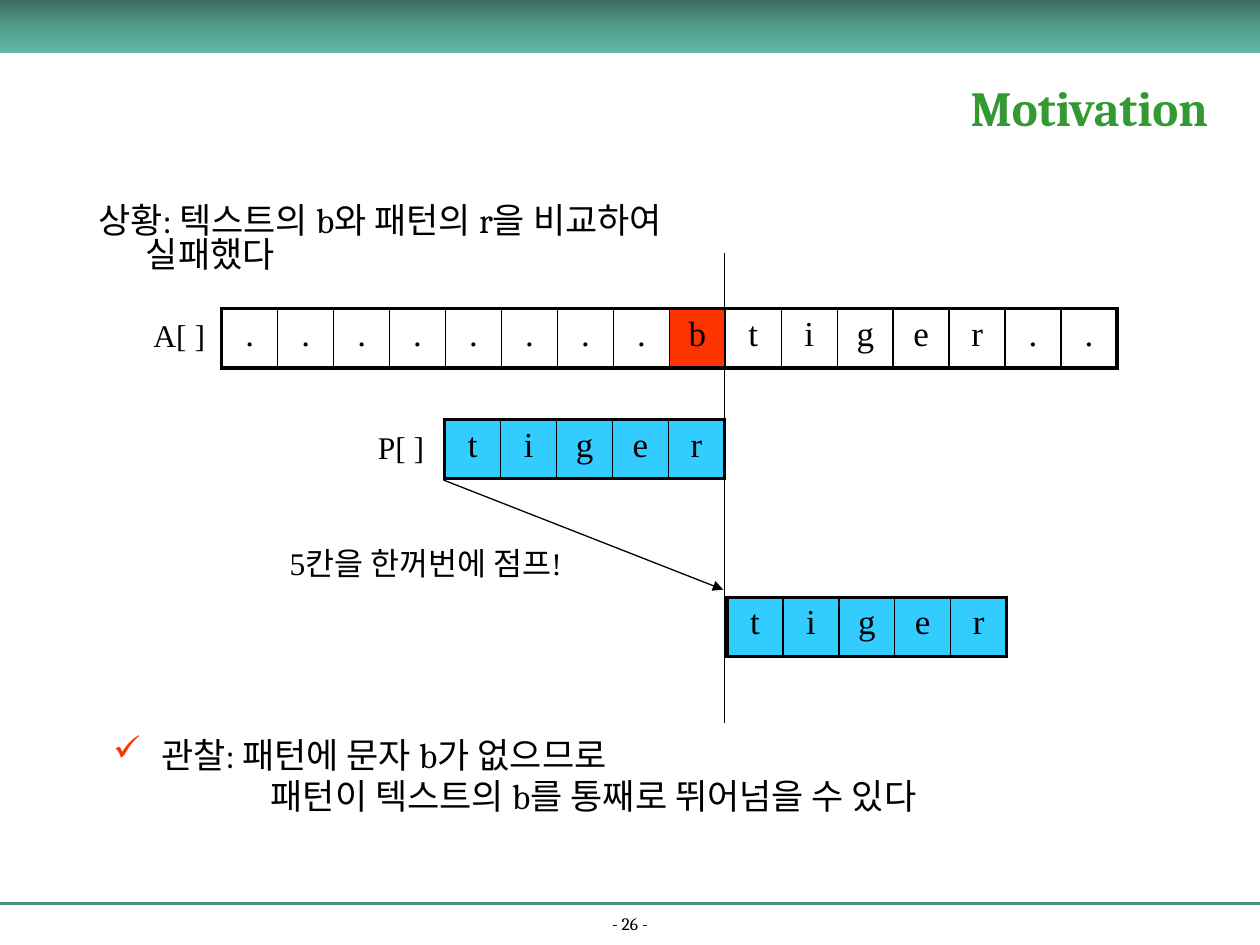
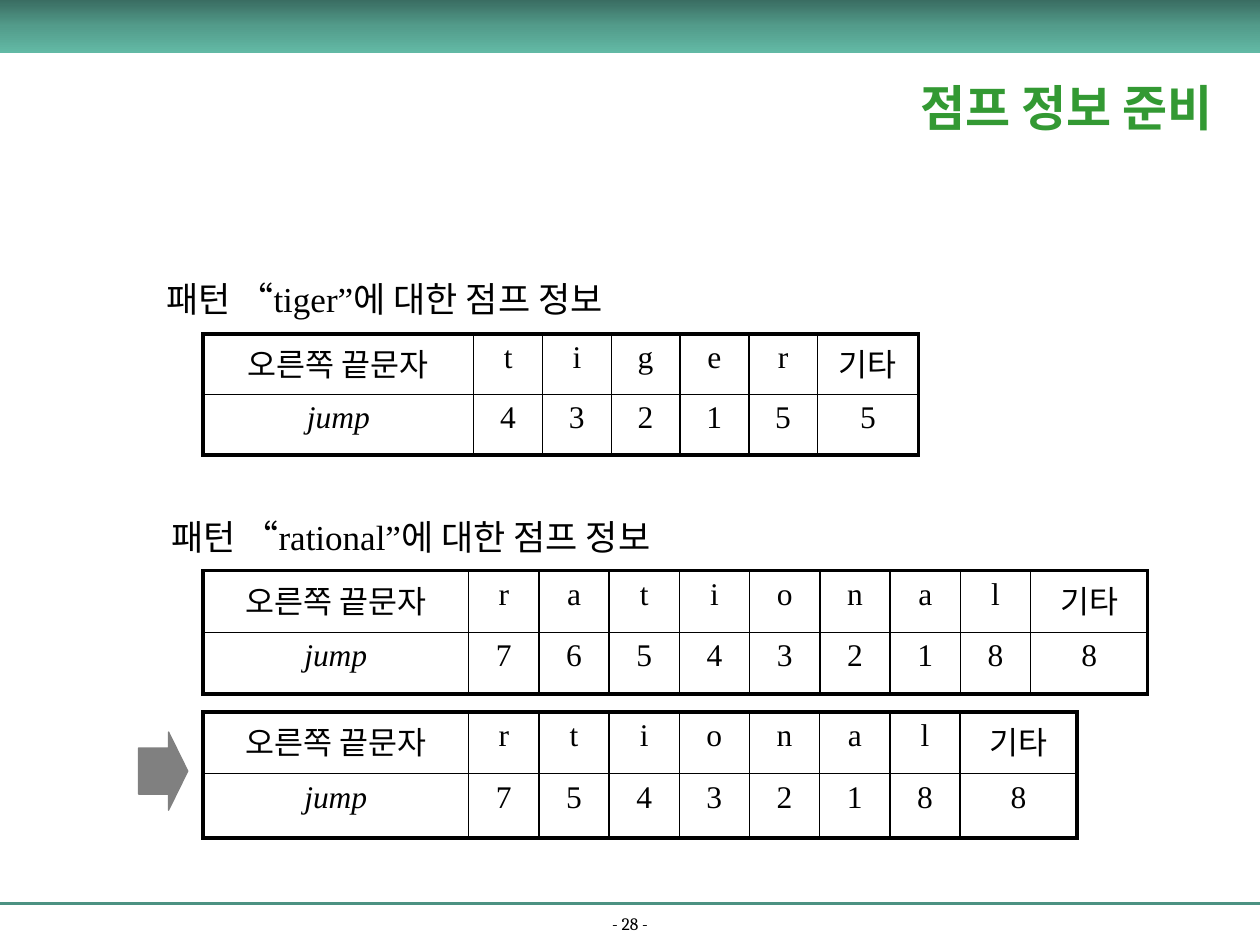
"""Build two slides on jump tables for string matching."""
from copy import deepcopy
from dataclasses import dataclass
from typing import Optional

from lxml.etree import SubElement
from pptx import Presentation
from pptx.dml.color import RGBColor
from pptx.enum.shapes import MSO_CONNECTOR, MSO_SHAPE
from pptx.enum.text import MSO_ANCHOR, PP_ALIGN
from pptx.oxml.ns import qn
from pptx.util import Inches, Pt

BLACK = RGBColor(0x00, 0x00, 0x00)
GREEN = RGBColor(0x33, 0x99, 0x33)
TEAL = RGBColor(0x4C, 0x92, 0x82)
BAND = (RGBColor(0x3A, 0x6D, 0x62), RGBColor(0x53, 0x9C, 0x8B), RGBColor(0x62, 0xB9, 0xA5))
RED = RGBColor(0xFF, 0x33, 0x00)
BLUE = RGBColor(0x33, 0xCC, 0xFF)
GRAY = RGBColor(0x80, 0x80, 0x80)
SERIF = "Times New Roman"
HEADING = "Cambria"
THIN, THICK = 1, 2.25
ARRAY_ROW = 0.47


@dataclass
class Label:
    text: str
    left: float
    top: float
    width: float
    height: float
    size: int = 18
    font: str = SERIF


@dataclass
class CharArray:
    chars: str
    left: float
    top: float
    width: float
    fill: Optional[RGBColor] = None
    mismatch: Optional[int] = None


@dataclass
class JumpTable:
    chars: str
    jumps: str
    top: float
    width: float
    head: float
    other: float
    rows: tuple[float, float]


LABELS = [
    Label("5칸을 한꺼번에 점프!", 2.2, 4.27, 2.8, 0.4),
    Label("A[ ]", 1.12, 2.46, 0.7, 0.4),
    Label("P[ ]", 2.9, 3.35, 0.66, 0.4),
]
ARRAYS = [
    CharArray("........btiger..", 1.76, 2.45, 7.11, mismatch=8),
    CharArray("tiger", 3.53, 3.33, 2.22, BLUE),
    CharArray("tiger", 5.77, 4.74, 2.22, BLUE),
]
CAPTIONS = [
    Label("패턴 “tiger”에 대한 점프 정보", 1.22, 2.15, 4.2, 0.43, 20),
    Label("패턴 “rational”에 대한 점프 정보", 1.26, 4.04, 4.6, 0.43, 20),
]
JUMP_TABLES = [
    JumpTable("tiger", "432155", 2.65, 5.68, 2.15, 0.8, (0.48, 0.48)),
    JumpTable("rational", "765432188", 4.53, 7.5, 2.11, 0.93, (0.49, 0.49)),
    JumpTable("rtional", "75432188", 5.65, 6.94, 2.11, 0.93, (0.49, 0.51)),
]


def style(p, size: int, font: str, color: RGBColor = BLACK, bold: bool = False,
          italic: bool = False) -> None:
    """Format every run of a paragraph."""
    for r in p.runs:
        r.font.size, r.font.name = Pt(size), font
        r.font.bold, r.font.italic = bold, italic
        r.font.color.rgb = color


def add_label(s, label: Label):
    """Add a wrapped text box and return its text frame."""
    box = s.shapes.add_textbox(Inches(label.left), Inches(label.top),
                               Inches(label.width), Inches(label.height))
    tf = box.text_frame
    tf.word_wrap = True
    tf.text = label.text
    for p in tf.paragraphs:
        style(p, label.size, label.font)
    return tf


def add_line(s, start: tuple[float, float], end: tuple[float, float],
             color: RGBColor = BLACK, width: float = 0.75, arrow: bool = False) -> None:
    """Draw a straight line, with an arrowhead at its end if asked."""
    line = s.shapes.add_connector(MSO_CONNECTOR.STRAIGHT,
                                  *(Inches(v) for v in start + end))
    line.line.color.rgb = color
    line.line.width = Pt(width)
    if arrow:
        SubElement(line.line._get_or_add_ln(), qn("a:tailEnd"), type="triangle")
    SubElement(line._element.spPr, qn("a:effectLst"))


def set_indent(p, left: float, first: float, bullet: str = "") -> None:
    """Indent a paragraph and give it a red bullet if one is named."""
    pPr = p._p.get_or_add_pPr()
    pPr.set("marL", str(Inches(left)))
    pPr.set("indent", str(Inches(first)))
    if bullet:
        color = SubElement(pPr, qn("a:buClr"))
        SubElement(color, qn("a:srgbClr"), val=str(RED))
        SubElement(pPr, qn("a:buChar"), char=bullet)


def add_band(s) -> None:
    """Draw the gradient band along the top."""
    band = s.shapes.add_shape(MSO_SHAPE.RECTANGLE, 0, 0, Inches(10), Inches(0.42))
    band.shadow.inherit = False
    band.line.fill.background()
    band.fill.gradient()
    band.fill.gradient_angle = 270
    stops = band._element.spPr.find(qn("a:gradFill")).find(qn("a:gsLst"))
    stops.insert(1, deepcopy(stops[0]))
    for stop, position, color in zip(band.fill.gradient_stops, (0, 0.5, 1), BAND):
        stop.position = position
        stop.color.rgb = color


def add_base(prs, title: str, title_left: float, number: int):
    """Add a slide with its title, band and footer."""
    s = prs.slides.add_slide(prs.slide_layouts[5])
    add_line(s, (0, 7.17), (10, 7.17), TEAL, 1.5)
    footer = add_label(s, Label(f"- {number} -", 0, 7.24, 10, 0.22, 10, HEADING))
    footer.vertical_anchor = MSO_ANCHOR.BOTTOM
    footer.paragraphs[0].alignment = PP_ALIGN.CENTER
    footer.paragraphs[0].line_spacing = 0.8
    add_band(s)
    sp = s.shapes.title
    sp.left, sp.top = Inches(title_left), Inches(0.42)
    sp.width, sp.height = Inches(10 - title_left), Inches(0.85)
    tf = sp.text_frame
    tf.text = title
    tf.vertical_anchor = MSO_ANCHOR.MIDDLE
    tf.paragraphs[0].alignment = PP_ALIGN.CENTER
    style(tf.paragraphs[0], 28, HEADING, GREEN, bold=True)
    return s


def set_borders(cell, widths: dict[str, float]) -> None:
    """Draw the four borders of a cell in black."""
    tcPr = cell._tc.get_or_add_tcPr()
    for side in "LRTB":
        ln = SubElement(tcPr, qn(f"a:ln{side}"), w=str(Pt(widths[side])))
        fill = SubElement(ln, qn("a:solidFill"))
        SubElement(fill, qn("a:srgbClr"), val=str(BLACK))


def add_grid(s, left: float, top: float, cols: list[float], heights: tuple[float, ...],
             texts: list[list[str]], size: int):
    """Add a centred table with a thick frame and thin inner lines."""
    frame = s.shapes.add_table(len(heights), len(cols), Inches(left), Inches(top),
                               Inches(sum(cols)), Inches(sum(heights)))
    table = frame.table
    table.first_row = table.horz_banding = False
    for col, width in zip(table.columns, cols):
        col.width = Inches(width)
    for row, height in zip(table.rows, heights):
        row.height = Inches(height)
    last_row, last_col = len(heights) - 1, len(cols) - 1
    for i, row in enumerate(texts):
        for j, text in enumerate(row):
            cell = table.cell(i, j)
            cell.text = text
            p = cell.text_frame.paragraphs[0]
            p.alignment = PP_ALIGN.CENTER
            style(p, size, SERIF, italic=text == "jump")
            edges = {"L": j == 0, "R": j == last_col, "T": i == 0, "B": i == last_row}
            set_borders(cell, {k: THICK if v else THIN for k, v in edges.items()})
            cell.fill.background()
    return table


def add_array(s, array: CharArray) -> None:
    """Draw one row of character cells."""
    count = len(array.chars)
    table = add_grid(s, array.left, array.top, [array.width / count] * count,
                     (ARRAY_ROW,), [list(array.chars)], 20)
    for j in range(count):
        color = RED if j == array.mismatch else array.fill
        if color is not None:
            fill = table.cell(0, j).fill
            fill.solid()
            fill.fore_color.rgb = color


def add_jump_table(s, jump: JumpTable) -> None:
    """Draw the jump distance of each character."""
    count = len(jump.chars)
    letter = (jump.width - jump.head - jump.other) / count
    texts = [["오른쪽 끝문자", *jump.chars, "기타"], ["jump", *jump.jumps]]
    add_grid(s, 1.61, jump.top, [jump.head] + [letter] * count + [jump.other],
             jump.rows, texts, 18)


def build_motivation(prs) -> None:
    """Build the slide that shows a jump over five cells."""
    s = add_base(prs, "Motivation", 7.29, 26)
    for array in ARRAYS:
        add_array(s, array)
    add_line(s, (3.52, 3.81), (5.74, 4.68), arrow=True)
    add_line(s, (5.75, 2.01), (5.75, 5.74))
    for label in LABELS:
        add_label(s, label)
    situation = add_label(s, Label("상황: 텍스트의 b와 패턴의 r을 비교하여 실패했다",
                                   0.68, 1.59, 5.6, 0.64, 20, HEADING))
    set_indent(situation.paragraphs[0], 0.38, -0.38)
    situation.paragraphs[0].line_spacing = 0.8
    finding = add_label(s, Label("관찰: 패턴에 문자 b가 없으므로\n"
                                 "패턴이 텍스트의 b를 통째로 뛰어넘을 수 있다",
                                 0.8, 5.84, 7.2, 0.7, 20, HEADING))
    first, second = finding.paragraphs
    set_indent(first, 0.38, -0.38, "✓")
    set_indent(second, 1.25, 0)
    first.line_spacing = second.line_spacing = 0.8
    second.space_before = Pt(4)


def build_jump_info(prs) -> None:
    """Build the slide with the jump tables of two patterns."""
    s = add_base(prs, "점프 정보 준비", 6.93, 28)
    for jump in JUMP_TABLES:
        add_jump_table(s, jump)
    arrow = s.shapes.add_shape(MSO_SHAPE.RIGHT_ARROW, Inches(1.1), Inches(5.81),
                               Inches(0.39), Inches(0.62))
    arrow.shadow.inherit = False
    arrow.adjustments[0], arrow.adjustments[1] = 0.59, 0.39
    arrow.fill.solid()
    arrow.fill.fore_color.rgb = arrow.line.color.rgb = GRAY
    arrow.line.width = Pt(0.75)
    for caption in CAPTIONS:
        add_label(s, caption)


def main() -> None:
    """Create the presentation and save it."""
    prs = Presentation()
    prs.slide_width, prs.slide_height = Inches(10), Inches(7.5)
    build_motivation(prs)
    build_jump_info(prs)
    prs.save("out.pptx")


if __name__ == "__main__":
    main()
